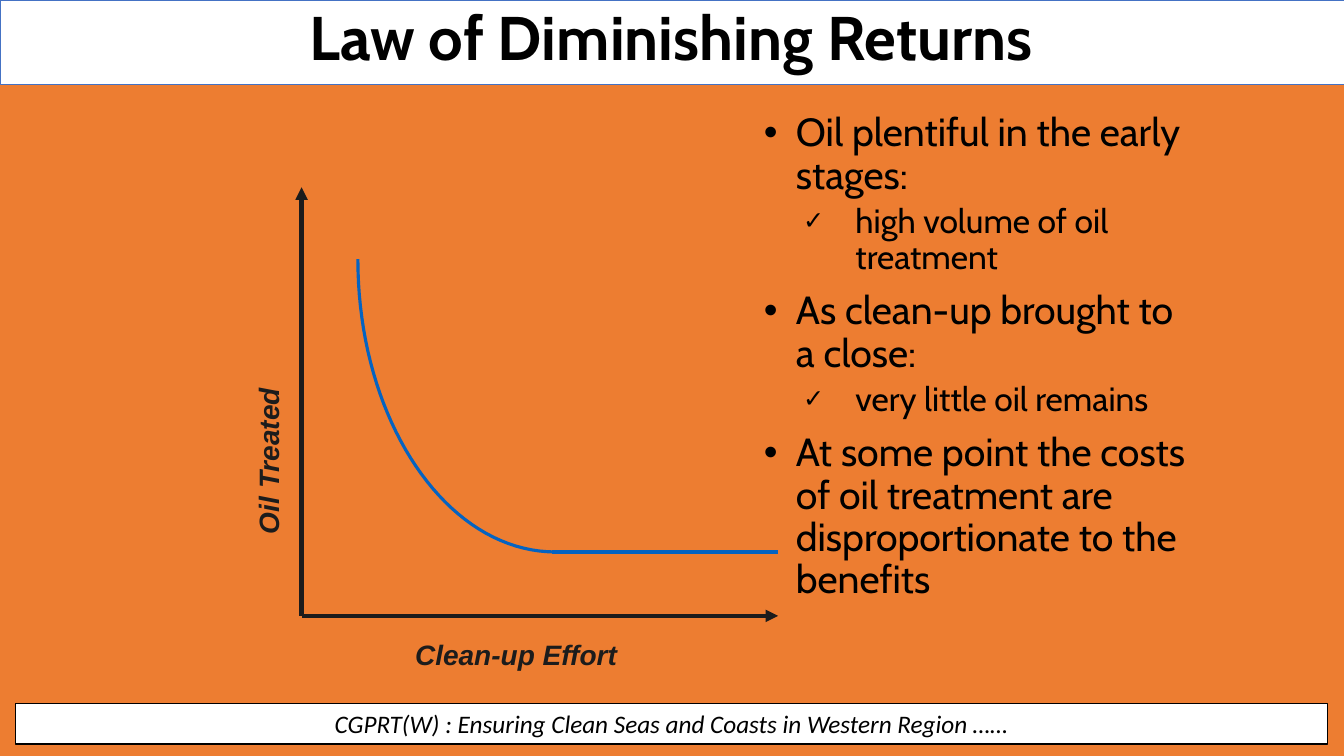
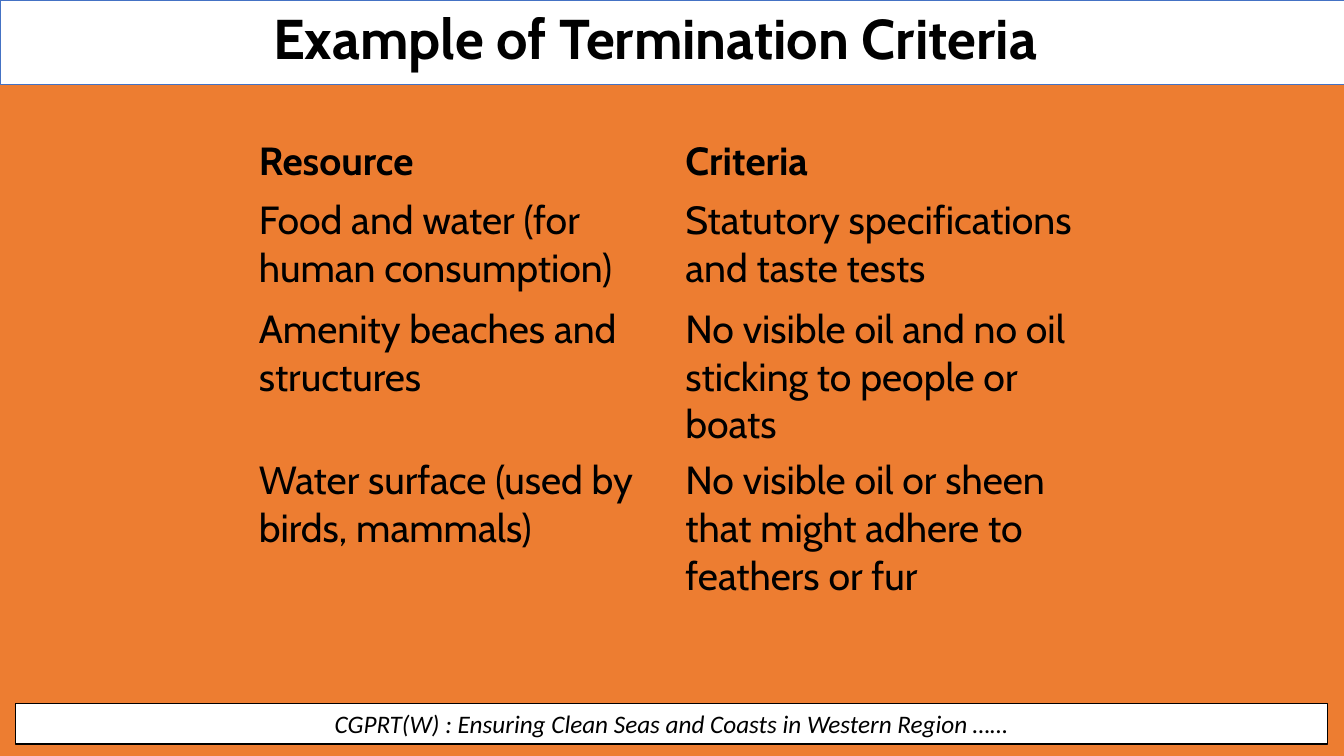
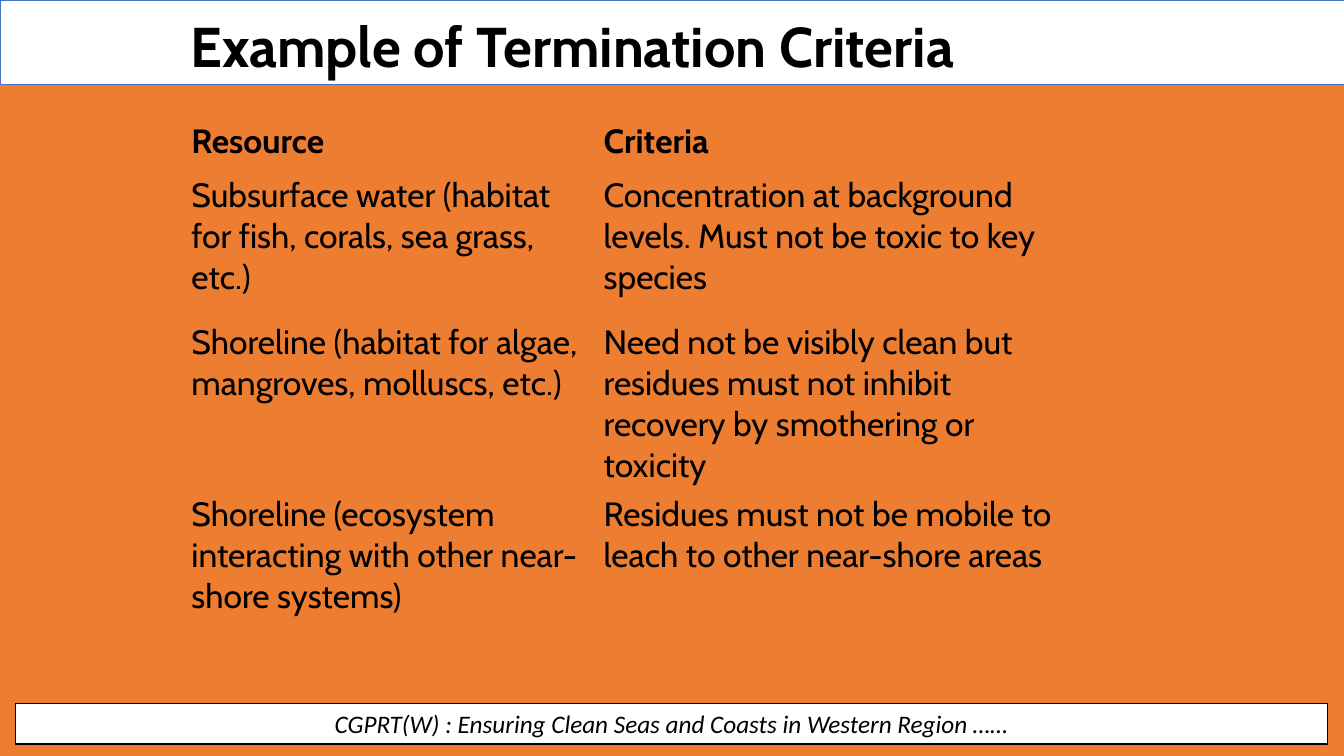
from lxml.etree import SubElement
from pptx import Presentation
from pptx.dml.color import RGBColor
from pptx.enum.shapes import MSO_CONNECTOR, MSO_SHAPE
from pptx.enum.text import MSO_ANCHOR, PP_ALIGN
from pptx.oxml.ns import qn
from pptx.util import Cm, Pt

rgb = RGBColor.from_string
ORANGE, WHITE, BLACK = "ED7D31", "FFFFFF", "000000"
BAND_BLUE, CURVE_BLUE, CHARCOAL = "4472C4", "0563C1", "1C1C1C"
NO_STYLE_NO_GRID = "{2D5ABB26-0587-4C30-8999-92F81FD0307C}"


def add_box(slide, left, top, width, height):
    """Add a wrapping text box, measured in centimetres."""
    box = slide.shapes.add_textbox(Cm(left), Cm(top), Cm(width), Cm(height))
    box.text_frame.word_wrap = True
    return box


def add_run(paragraph, text, size, font="Cabin", color=BLACK, bold=False, italic=False):
    run = paragraph.add_run()
    run.text = text
    run.font.name = font
    run.font.size = Pt(size)
    run.font.bold = bold
    run.font.italic = italic
    run.font.color.rgb = rgb(color)


prs = Presentation()
prs.slide_width, prs.slide_height = Cm(33.87), Cm(19.05)
background = prs.slide_master.background.fill
background.solid()
background.fore_color.rgb = rgb(ORANGE)

# Title band, footer and title of every slide
titles = [
    ("Law of Diminishing Returns", 44, PP_ALIGN.CENTER, (5.49, 0.05, 22.86, 1.55)),
    ("Example of Termination Criteria", 40, PP_ALIGN.CENTER, (4.14, 0.15, 24.74, 1.55)),
    ("Example of Termination Criteria", 40, PP_ALIGN.LEFT, (4.55, 0.36, 25.04, 1.55)),
]
bands = [
    ("", (0.4, 17.73, 33.05, 1.02), BLACK, 0.75),
    ("", (0, 0, 33.87, 2.13), BAND_BLUE, 0.5),
]
bands[0] = ("CGPRT(W) : Ensuring Clean Seas and Coasts in Western Region ……", *bands[0][1:])
slides = []
for title, size, alignment, place in titles:
    slide = prs.slides.add_slide(prs.slide_layouts[6])
    slides.append(slide)
    for text, area, outline, weight in bands:
        band = slide.shapes.add_shape(MSO_SHAPE.RECTANGLE, *map(Cm, area))
        band.shadow.inherit = False
        band.fill.solid()
        band.fill.fore_color.rgb = rgb(WHITE)
        band.line.color.rgb = rgb(outline)
        band.line.width = Pt(weight)
        if text:
            band.text_frame.vertical_anchor = MSO_ANCHOR.MIDDLE
            paragraph = band.text_frame.paragraphs[0]
            paragraph.alignment = PP_ALIGN.CENTER
            add_run(paragraph, text, 18, "Calibri", italic=True)
    paragraph = add_box(slide, *place).text_frame.paragraphs[0]
    paragraph.alignment = alignment
    paragraph.line_spacing = 0.9
    add_run(paragraph, title, size, bold=True)

# Slide 1: bullets beside the curve
returns_slide = slides[0]
points = [
    (0, "Oil plentiful in the early stages:"),
    (1, "high volume of oil treatment"),
    (0, "As clean-up brought to a close:"),
    (1, "very little oil remains"),
    (0, "At some point the costs of oil treatment are disproportionate to the benefits"),
]
# By level: bullet, bullet size, text size, space before, margin, indent
levels = [("•", 100, 28, 10, 0.81, -0.81), ("✓", 75, 24, 5, 2.31, -1.32)]
body = add_box(returns_slide, 19, 2.72, 11.23, 13.69).text_frame
for number, (level, text) in enumerate(points):
    bullet, bullet_size, size, before, margin, indent = levels[level]
    paragraph = body.add_paragraph() if number else body.paragraphs[0]
    paragraph.level = level
    paragraph.line_spacing = 0.9
    paragraph.space_before = Pt(before)
    add_run(paragraph, text, size)
    properties = paragraph._p.get_or_add_pPr()
    properties.set("marL", str(Cm(margin)))
    properties.set("indent", str(Cm(indent)))
    SubElement(properties, qn("a:buSzPct"), val=str(bullet_size * 1000))
    SubElement(properties, qn("a:buFont"), typeface="Arial")
    SubElement(properties, qn("a:buChar"), char=bullet)

for label, place, rotation in [
    ("Clean-up Effort", (10.21, 15.93, 5.82, 1.12), 0),
    ("Oil Treated", (3.68, 10.06, 6.17, 1.12), 270),
]:
    axis_label = add_box(returns_slide, *place)
    axis_label.rotation = rotation
    add_run(axis_label.text_frame.paragraphs[0], label, 20, "Arial", CHARCOAL, True, True)

origin_x, origin_y, axis_end, floor_y = 7.6, 15.52, 19.61, 13.91
for ends, color, weight, arrow in [
    ((origin_x, origin_y, origin_x, 4.72), CHARCOAL, 3, True),
    ((origin_x, origin_y, axis_end, origin_y), CHARCOAL, 3, True),
    ((13.9, floor_y, axis_end, floor_y), CURVE_BLUE, 2.25, False),
]:
    line = returns_slide.shapes.add_connector(MSO_CONNECTOR.STRAIGHT, *map(Cm, ends))
    line.line.color.rgb = rgb(color)
    line.line.width = Pt(weight)
    properties = line.element.spPr
    if arrow:
        SubElement(properties.find(qn("a:ln")), qn("a:tailEnd"), type="triangle")
    SubElement(properties, qn("a:effectLst"))

# Falling curve: a cubic Bezier sampled at equal steps
controls = [(9.02, 6.53), (9.02, 10.59), (11.25, floor_y), (14, floor_y)]
steps = 40
samples = []
for step in range(steps + 1):
    t = step / steps
    weights = [(1 - t) ** 3, 3 * t * (1 - t) ** 2, 3 * t * t * (1 - t), t ** 3]
    samples.append(tuple(
        Cm(sum(w * point[axis] for w, point in zip(weights, controls))) for axis in (0, 1)
    ))
outline = returns_slide.shapes.build_freeform(*samples[0])
outline.add_line_segments(samples[1:], close=False)
curve = outline.convert_to_shape()
curve.shadow.inherit = False
curve.fill.background()
curve.line.color.rgb = rgb(CURVE_BLUE)
curve.line.width = Pt(2.25)

# Slides 2 and 3: criteria tables
header = ("Resource", "Criteria")
criteria_tables = [
    (slides[1], 28, (6.27, 3.33), (10.75, 11.2), (1.5, 2.75, 3.8, 3.81), [
        header,
        ("Food and water (for human consumption)", "Statutory specifications and taste tests"),
        ("Amenity beaches and structures",
         "No visible oil and no oil sticking to people or boats"),
        ("Water surface (used by birds, mammals)",
         "No visible oil or sheen that might adhere to feathers or fur"),
    ]),
    (slides[2], 24, (4.57, 2.92), (10.39, 12.5), (1.37, 3.71, 4.14, 3.45), [
        header,
        ("Subsurface water (habitat for fish, corals, sea grass, etc.)",
         "Concentration at background levels. Must not be toxic to key species"),
        ("Shoreline (habitat for algae, mangroves, molluscs, etc.)",
         "Need not be visibly clean but residues must not inhibit recovery "
         "by smothering or toxicity"),
        ("Shoreline (ecosystem interacting with other near-shore systems)",
         "Residues must not be mobile to leach to other near-shore areas"),
    ]),
]
for slide, size, corner, widths, heights, rows in criteria_tables:
    frame = slide.shapes.add_table(
        len(rows), len(header), *map(Cm, (*corner, sum(widths), sum(heights)))
    )
    table = frame.table
    table.first_row = table.horz_banding = False
    for style in frame.element.iter(qn("a:tableStyleId")):
        style.text = NO_STYLE_NO_GRID
    for column, width in zip(table.columns, widths):
        column.width = Cm(width)
    for row_number, (height, row) in enumerate(zip(heights, rows)):
        table.rows[row_number].height = Cm(height)
        for column_number, text in enumerate(row):
            cell = table.cell(row_number, column_number)
            cell.fill.background()
            add_run(cell.text_frame.paragraphs[0], text, size, bold=row_number == 0)

prs.save("out.pptx")
